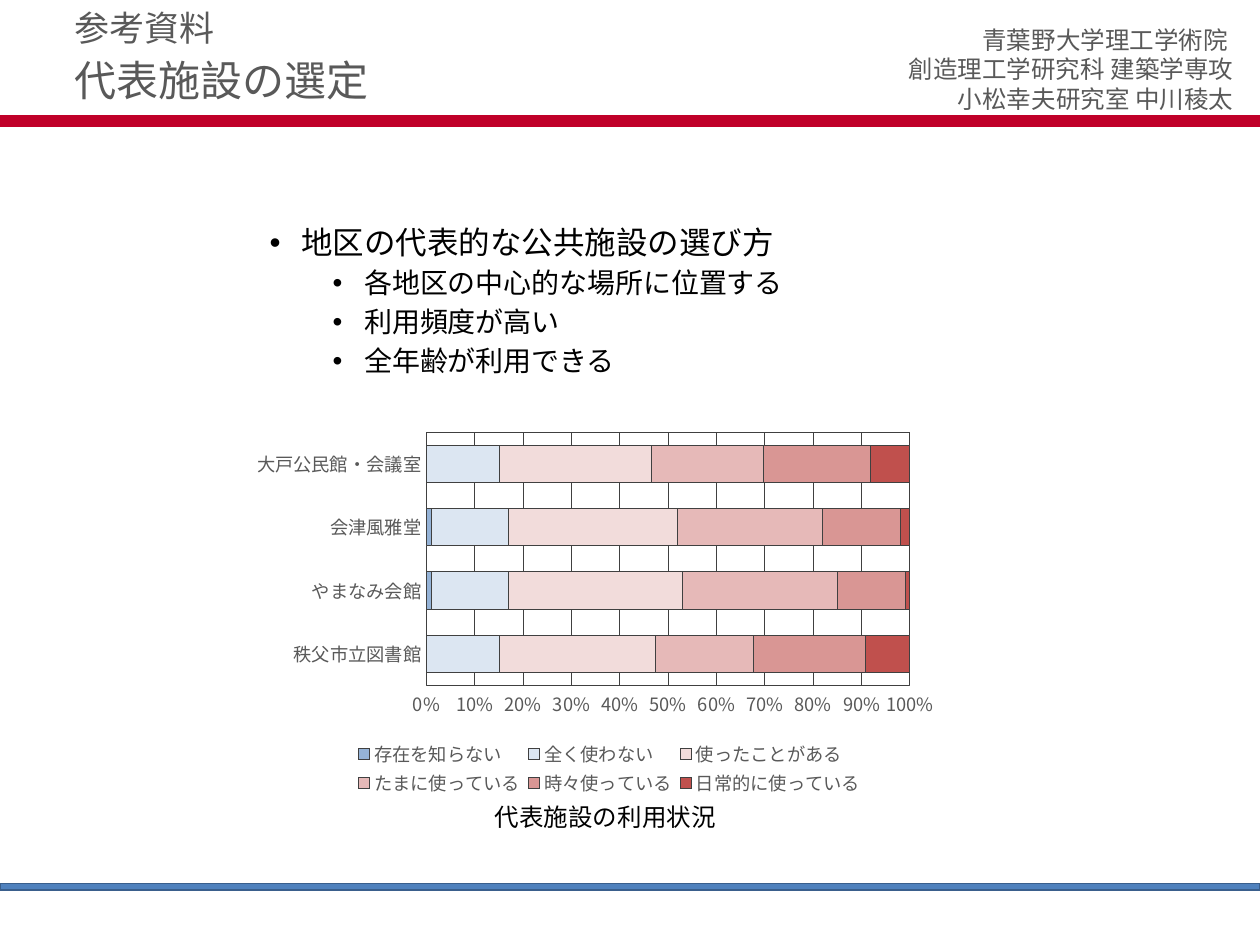
from dataclasses import dataclass
from typing import NamedTuple

from lxml import etree
from pptx import Presentation
from pptx.chart.data import CategoryChartData
from pptx.dml.color import RGBColor
from pptx.enum.chart import XL_CHART_TYPE, XL_LEGEND_POSITION, XL_TICK_MARK
from pptx.enum.shapes import MSO_SHAPE
from pptx.enum.text import MSO_ANCHOR, MSO_AUTO_SIZE, PP_ALIGN
from pptx.oxml import parse_xml
from pptx.oxml.ns import nsdecls, qn
from pptx.util import Cm, Pt

LEFT, CENTER, RIGHT = PP_ALIGN.LEFT, PP_ALIGN.CENTER, PP_ALIGN.RIGHT
TOP, MIDDLE = MSO_ANCHOR.TOP, MSO_ANCHOR.MIDDLE
NO_TICK = XL_TICK_MARK.NONE
FONT = "Noto Sans CJK JP"
BLACK, GRAY, DARK = "000000", "595959", "404040"
TWO_CONTENT = 3


class Box(NamedTuple):
    """Left, top, width and height in centimetres."""
    left: float
    top: float
    width: float
    height: float

    def lengths(self):
        return [Cm(value) for value in self]


@dataclass
class Line:
    text: str
    size: float
    color: str = GRAY
    align: PP_ALIGN = LEFT
    spacing: float = 1.0
    before: float = 0
    level: int = 0
    indent: float | None = None


@dataclass
class Bar:
    box: Box
    fill: str
    outline: str


@dataclass
class Answer:
    name: str
    shares: tuple
    color: str


BARS = [
    Bar(Box(0, 2.34, 25.4, 0.2), "C00029", "C00029"),
    Bar(Box(0, 17.81, 25.4, 0.13), "4F81BD", "3A5F8C"),
]
AFFILIATION = [
    Line(text, 14, align=RIGHT)
    for text in ("青葉野大学理工学術院 ", "創造理工学研究科 建築学専攻", "小松幸夫研究室 中川稜太")
]
CRITERIA = [Line("地区の代表的な公共施設の選び方", 18, BLACK, LEFT, 0.9, 10, 0, 0.64)] + [
    Line(text, 16, BLACK, LEFT, 0.9, 5, 1, 1.91)
    for text in ("各地区の中心的な場所に位置する", "利用頻度が高い", "全年齢が利用できる")
]
FACILITIES = ["秩父市立図書館", "やまなみ会館", "会津風雅堂", "大戸公民館・会議室"]
ANSWERS = [
    Answer("存在を知らない", (0, 1, 1, None), "95B3D7"),
    Answer("全く使わない", (15, 16, 16, 15), "DCE6F2"),
    Answer("使ったことがある", (32, 36, 35, 31), "F2DCDB"),
    Answer("たまに使っている", (20, 32, 30, 23), "E6B9B8"),
    Answer("時々使っている", (23, 14, 16, 22), "D99694"),
    Answer("日常的に使っている", (9, 1, 2, 8), "C0504D"),
]


def rgb(color: str) -> RGBColor:
    return RGBColor.from_string(color)


def set_font(font, size: float, color: str) -> None:
    font.size, font.name, font.bold = Pt(size), FONT, False
    font.color.rgb = rgb(color)


def set_line(line, color: str, width: float) -> None:
    line.color.rgb = rgb(color)
    line.width = Pt(width)


def set_east_asian_font(root) -> None:
    for properties in root.iter(qn("a:defRPr")):
        etree.SubElement(properties, qn("a:ea")).set("typeface", FONT)


def set_bullet(paragraph, indent: float | None) -> None:
    """Hang a bullet at the indent, or remove the bullet if there is none."""
    properties = paragraph._p.get_or_add_pPr()
    properties.set("marL", str(Cm(indent or 0)))
    properties.set("indent", str(-Cm(0.64) if indent else 0))
    bullet = etree.Element(qn("a:buChar" if indent else "a:buNone"))
    if indent:
        bullet.set("char", "•")
    properties.find(qn("a:defRPr")).addprevious(bullet)


def write(shape, box: Box, lines: list[Line], anchor=TOP) -> None:
    shape.left, shape.top, shape.width, shape.height = box.lengths()
    frame = shape.text_frame
    frame.word_wrap = True
    frame.auto_size = MSO_AUTO_SIZE.NONE
    frame.vertical_anchor = anchor
    for index, line in enumerate(lines):
        paragraph = frame.add_paragraph() if index else frame.paragraphs[0]
        paragraph.text = line.text
        paragraph.level = line.level
        paragraph.alignment = line.align
        paragraph.line_spacing = line.spacing
        paragraph.space_before = Pt(line.before)
        set_font(paragraph.font, line.size, line.color)
        set_east_asian_font(paragraph._p)
        set_bullet(paragraph, line.indent)


def add_bar(slide, bar: Bar) -> None:
    shape = slide.shapes.add_shape(MSO_SHAPE.RECTANGLE, *bar.box.lengths())
    shape.shadow.inherit = False
    shape.fill.solid()
    shape.fill.fore_color.rgb = rgb(bar.fill)
    set_line(shape.line, bar.outline, 1)


def manual_layout(target: str, x: float, y: float, w: float, h: float):
    """Layout element in fractions of the chart; target is inner or empty."""
    inner = f'<c:layoutTarget val="{target}"/>' if target else ""
    return parse_xml(
        f'<c:layout {nsdecls("c")}><c:manualLayout>{inner}'
        '<c:xMode val="edge"/><c:yMode val="edge"/>'
        f'<c:x val="{x}"/><c:y val="{y}"/><c:w val="{w}"/><c:h val="{h}"/>'
        "</c:manualLayout></c:layout>"
    )


def place_plot_and_legend(chart) -> None:
    plot_area = chart._chartSpace.chart.plotArea
    for layout in plot_area.findall(qn("c:layout")):
        plot_area.remove(layout)
    plot_area.insert(0, manual_layout("inner", 0.24, 0.02, 0.7, 0.67))
    plot_area.append(parse_xml(
        f'<c:spPr {nsdecls("c", "a")}><a:noFill/><a:ln w="{Pt(0.5)}"><a:solidFill>'
        f'<a:srgbClr val="{DARK}"/></a:solidFill></a:ln></c:spPr>'
    ))
    legend = chart.legend._element
    for layout in legend.findall(qn("c:layout")):
        legend.remove(layout)
    legend.find(qn("c:legendPos")).addnext(manual_layout("", 0.13, 0.83, 0.75, 0.16))


def add_usage_chart(slide, box: Box) -> None:
    data = CategoryChartData()
    data.categories = FACILITIES
    for answer in ANSWERS:
        data.add_series(answer.name, answer.shares)
    chart = slide.shapes.add_chart(
        XL_CHART_TYPE.BAR_STACKED_100, *box.lengths(), data
    ).chart
    chart.has_title = False
    set_font(chart.font, 10.5, BLACK)

    plot = chart.plots[0]
    plot.gap_width, plot.overlap = 70, 100
    plot.vary_by_categories = False
    for series, answer in zip(plot.series, ANSWERS):
        series.format.fill.solid()
        series.format.fill.fore_color.rgb = rgb(answer.color)
        set_line(series.format.line, DARK, 0.5)

    for axis in (chart.category_axis, chart.value_axis):
        axis.major_tick_mark = axis.minor_tick_mark = NO_TICK
        set_font(axis.tick_labels.font, 10.5, GRAY)
    set_line(chart.category_axis.format.line, DARK, 0.5)
    shares = chart.value_axis
    shares.minimum_scale, shares.maximum_scale, shares.major_unit = 0, 1, 0.1
    shares.tick_labels.number_format = "0%"
    shares.tick_labels.number_format_is_linked = False
    shares.format.line.fill.background()
    set_line(shares.major_gridlines.format.line, DARK, 0.5)

    chart.has_legend = True
    chart.legend.position = XL_LEGEND_POSITION.BOTTOM
    chart.legend.include_in_layout = False
    set_font(chart.legend.font, 10.5, GRAY)
    place_plot_and_legend(chart)
    set_east_asian_font(chart._chartSpace)


def main() -> None:
    deck = Presentation()
    deck.slide_width, deck.slide_height = Cm(25.4), Cm(19.05)
    slide = deck.slides.add_slide(deck.slide_layouts[TWO_CONTENT])
    title, criteria, section = list(slide.placeholders)[:3]
    for bar in BARS:
        add_bar(slide, bar)
    affiliation = Box(15.29, 0.38, 9.83, 2.06)
    write(slide.shapes.add_textbox(*affiliation.lengths()), affiliation, AFFILIATION)
    write(criteria, Box(5.18, 4.45, 18.9, 12.07), CRITERIA)
    write(title, Box(1.24, 1.02, 21.89, 1.32), [Line("代表施設の選定", 24, spacing=0.9)], MIDDLE)
    write(section, Box(1.24, 0, 16.13, 1.02), [Line("参考資料", 20, before=10)])
    add_usage_chart(slide, Box(5.18, 8.56, 14, 7.62))
    caption = Box(5.84, 16.05, 12.73, 0.86)
    write(slide.shapes.add_textbox(*caption.lengths()), caption,
          [Line("代表施設の利用状況", 14, BLACK, CENTER)])
    deck.save("out.pptx")


if __name__ == "__main__":
    main()
